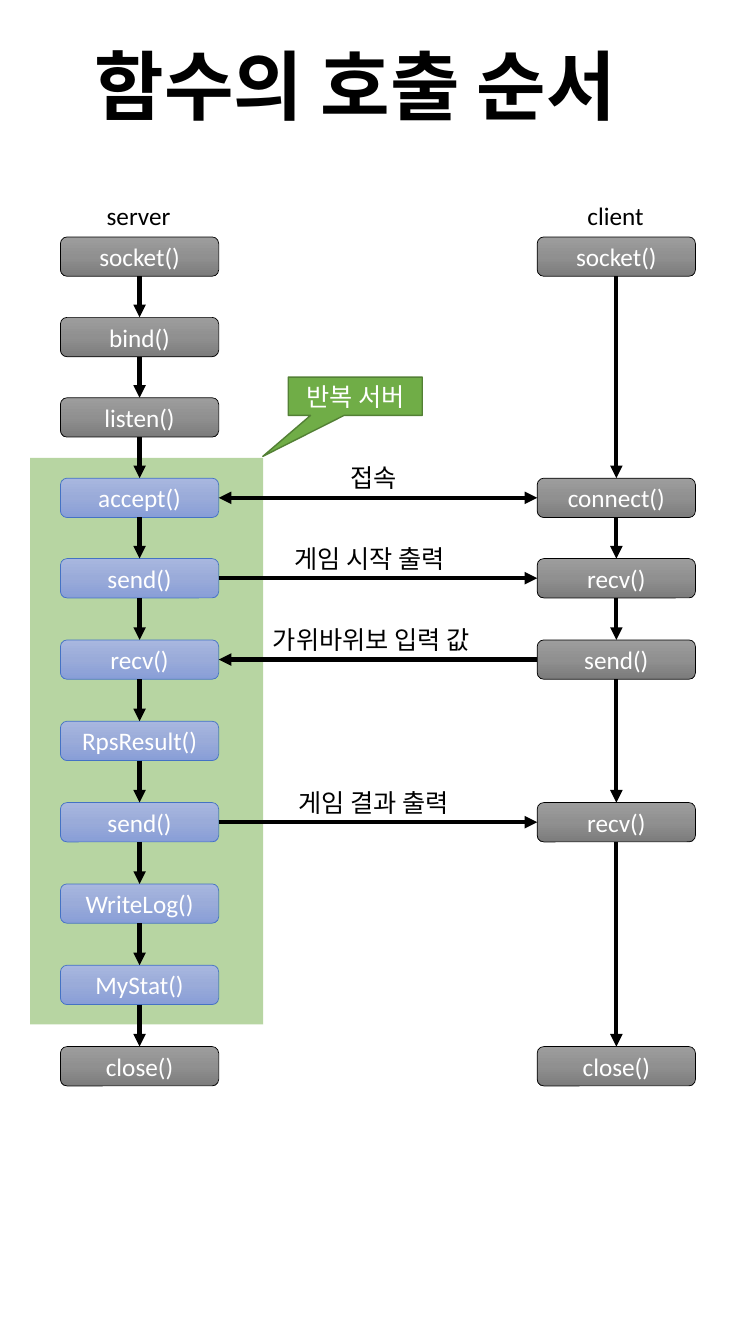
"""Draw the order of socket calls between a server and a client."""
import copy
import itertools

import lxml.etree
import pptx
import pptx.dml.color
import pptx.enum.shapes
import pptx.enum.text
import pptx.oxml.ns
import pptx.util

RGB = pptx.dml.color.RGBColor
SHAPE = pptx.enum.shapes.MSO_SHAPE
ANCHOR = pptx.enum.text.MSO_ANCHOR
ALIGN = pptx.enum.text.PP_ALIGN
FIT = pptx.enum.text.MSO_AUTO_SIZE

TITLE = "함수의 호출 순서"
LANES = {
    "server": {
        "left": 60, "label": (96, 84),
        "calls": dict(enumerate([
            "socket()", "bind()", "listen()", "accept()", "send()", "recv()",
            "RpsResult()", "send()", "WriteLog()", "MyStat()", "close()"])),
    },
    "client": {
        "left": 533, "label": (573, 77),
        "calls": {0: "socket()", 3: "connect()", 4: "recv()", 5: "send()",
                  7: "recv()", 10: "close()"},
    },
}
MESSAGES = [
    ("접속", 3, "both", 338, 71),
    ("게임 시작 출력", 4, "to client", 282, 183),
    ("가위바위보 입력 값", 5, "to server", 261, 234),
    ("게임 결과 출력", 7, "to client", 286, 183),
]
CALLOUT = "반복 서버"
LOOP_ROWS = range(3, 10)

PX = 9144
PAGE_SIZE = (750, 1333)
TITLE_AREA = (60, 34, 585, 101)
LOOP_AREA = (30, 454, 231, 562)
CALLOUT_AREA = (286, 374, 133, 38)
BOX_WIDTH, BOX_HEIGHT = 157, 39
LABEL_HEIGHT = 40
LANE_LABEL_TOP = 194
FIRST_TOP, SEND_TOP, LAST_TOP = 235, 554, 1038
SEND_ROW, LAST_ROW = 4, 10
TOP_SITE, LEFT_SITE, BOTTOM_SITE, RIGHT_SITE = range(4)

BLACK = RGB(0, 0, 0)
WHITE = RGB(255, 255, 255)
GREEN = RGB(0x70, 0xAD, 0x47)
DARK_GREEN = RGB(0x53, 0x80, 0x35)
BLUE = RGB(0x44, 0x72, 0xC4)
GREY_SHADES = [RGB(0x9D, 0x9D, 0x9D), RGB(0x90, 0x90, 0x90), RGB(0x7C, 0x7C, 0x7C)]
BLUE_SHADES = [RGB(0xA8, 0xB7, 0xDF), RGB(0x9A, 0xAB, 0xD9), RGB(0x88, 0x9E, 0xD7)]

LABEL_FONT = {"name": "Calibri", "size": pptx.util.Pt(18)}
TITLE_FONT = {"name": "Calibri", "size": pptx.util.Pt(54), "bold": True}
FITTED = {"word_wrap": False, "auto_size": FIT.SHAPE_TO_FIT_TEXT,
          "vertical_anchor": ANCHOR.TOP}
CENTRED = {"word_wrap": True, "vertical_anchor": ANCHOR.MIDDLE}


def scaled(lengths):
    return [round(length * PX) for length in lengths]


def row_top(row):
    if row <= SEND_ROW:
        return FIRST_TOP + (SEND_TOP - FIRST_TOP) * row / SEND_ROW
    return SEND_TOP + (LAST_TOP - SEND_TOP) * (row - SEND_ROW) / (LAST_ROW - SEND_ROW)


def apply_format(target, values):
    for name, value in values.items():
        setattr(target, name, value)


def add_element(parent, tag, **attributes):
    lxml.etree.SubElement(parent, pptx.oxml.ns.qn(tag), **attributes)


def write(shape, text, color, align, frame_format, font_format=LABEL_FONT):
    frame = shape.text_frame
    apply_format(frame, frame_format)
    para = frame.paragraphs[0]
    para.alignment = align
    span = para.add_run()
    span.text = text
    apply_format(span.font, font_format)
    span.font.color.rgb = color


def add_label(page, text, area):
    box = page.shapes.add_textbox(*scaled(area))
    write(box, text, BLACK, ALIGN.LEFT, FITTED)


def add_solid(page, kind, area, color):
    shape = page.shapes.add_shape(kind, *scaled(area))
    shape.shadow.inherit = False
    shape.fill.solid()
    shape.fill.fore_color.rgb = color
    return shape


def add_call(page, text, left, top, shades, outline):
    area = scaled((left, top, BOX_WIDTH, BOX_HEIGHT))
    box = page.shapes.add_shape(SHAPE.ROUNDED_RECTANGLE, *area)
    box.shadow.inherit = False
    box.fill.gradient()
    box.fill.gradient_angle = 270
    stop_list = box._element.spPr.find(".//" + pptx.oxml.ns.qn("a:gsLst"))
    stop_list.insert(1, copy.deepcopy(stop_list[0]))
    for stop, shade, position in zip(box.fill.gradient_stops, shades, (0, 0.5, 1)):
        stop.color.rgb = shade
        stop.position = position
    box.line.color.rgb = outline
    box.line.width = pptx.util.Pt(0.5)
    write(box, text, WHITE, ALIGN.CENTER, CENTRED)
    return box


def add_arrow(page, start, start_site, end, end_site, tips=("a:tailEnd",)):
    arrow = page.shapes.add_connector(pptx.enum.shapes.MSO_CONNECTOR.STRAIGHT, 0, 0, 0, 0)
    arrow.begin_connect(start, start_site)
    arrow.end_connect(end, end_site)
    arrow.line.color.rgb = BLACK
    arrow.line.width = pptx.util.Pt(3)
    properties = arrow._element.spPr
    for tip in tips:
        add_element(properties.find(pptx.oxml.ns.qn("a:ln")), tip, type="triangle")
    add_element(properties, "a:effectLst")


def add_title(page):
    title = page.shapes.title
    title.left, title.top, title.width, title.height = scaled(TITLE_AREA)
    write(title, TITLE, BLACK, ALIGN.CENTER, FITTED, TITLE_FONT)


def add_loop_area(page):
    area = add_solid(page, SHAPE.RECTANGLE, LOOP_AREA, GREEN)
    area.line.fill.background()
    color = area._element.spPr.find(".//" + pptx.oxml.ns.qn("a:srgbClr"))
    add_element(color, "a:alpha", val="50000")


def add_lane(page, name, lane):
    left, width = lane["label"]
    add_label(page, name, (left, LANE_LABEL_TOP, width, LABEL_HEIGHT))
    boxes = {}
    for row, text in lane["calls"].items():
        looped = name == "server" and row in LOOP_ROWS
        shades, outline = (BLUE_SHADES, BLUE) if looped else (GREY_SHADES, BLACK)
        boxes[row] = add_call(page, text, lane["left"], row_top(row), shades, outline)
    for upper, lower in itertools.pairwise(boxes.values()):
        add_arrow(page, upper, BOTTOM_SITE, lower, TOP_SITE)
    return boxes


def add_message(page, boxes, text, row, direction, left, width):
    ends = [(boxes["server"][row], RIGHT_SITE), (boxes["client"][row], LEFT_SITE)]
    if direction == "to server":
        ends.reverse()
    tips = ("a:headEnd", "a:tailEnd") if direction == "both" else ("a:tailEnd",)
    add_arrow(page, *ends[0], *ends[1], tips)
    top = row_top(row) + BOX_HEIGHT / 2 - LABEL_HEIGHT
    add_label(page, text, (left, top, width, LABEL_HEIGHT))


def add_callout(page):
    callout = add_solid(page, SHAPE.RECTANGULAR_CALLOUT, CALLOUT_AREA, GREEN)
    callout.adjustments[0], callout.adjustments[1] = -0.69, 1.57
    callout.line.color.rgb = DARK_GREEN
    callout.line.width = pptx.util.Pt(1)
    write(callout, CALLOUT, WHITE, ALIGN.CENTER, CENTRED)


def main():
    deck = pptx.Presentation()
    deck.slide_width, deck.slide_height = scaled(PAGE_SIZE)
    page = deck.slides.add_slide(deck.slide_layouts[5])
    add_title(page)
    add_loop_area(page)
    boxes = {name: add_lane(page, name, lane) for name, lane in LANES.items()}
    for message in MESSAGES:
        add_message(page, boxes, *message)
    add_callout(page)
    deck.save("out.pptx")


if __name__ == "__main__":
    main()
